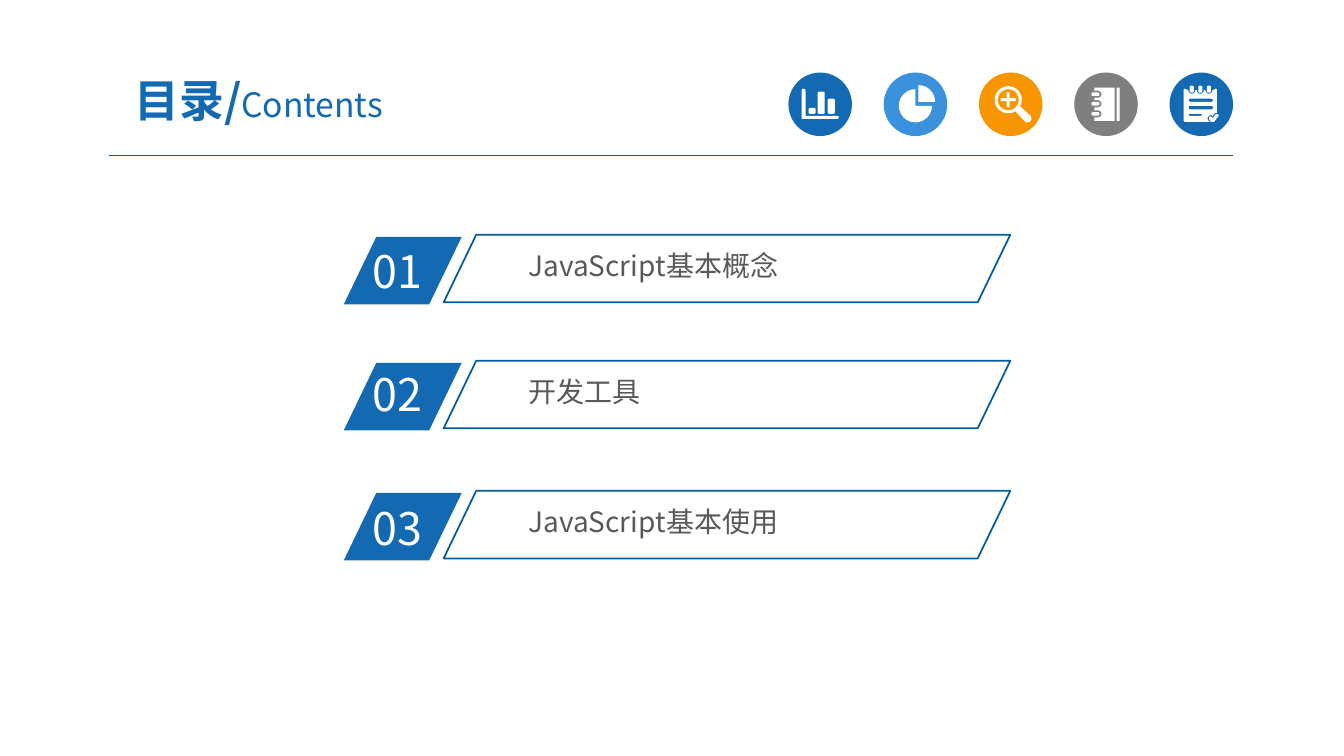
from math import cos, radians, sin

from lxml.etree import SubElement
from pptx import Presentation
from pptx.dml.color import RGBColor
from pptx.enum.shapes import MSO_CONNECTOR, MSO_SHAPE
from pptx.enum.text import MSO_ANCHOR, PP_ALIGN
from pptx.oxml.ns import qn
from pptx.util import Inches, Pt

FONT = "Noto Sans CJK SC"
BLUE, SKY, ORANGE, GREY = "1369B2", "3992DB", "F79600", "7F7F7F"
WHITE, RULE, OUTLINE, BODY = "FFFFFF", "005B9E", "005DA2", "595959"

TITLE = [("目录/", 32, True), ("Contents", 24, False)]
# number, topic, top of the topic frame, top of the number text
CHAPTERS = [
    ("01", "JavaScript基本概念", 2.33, 2.37),
    ("02", "开发工具", 3.58, 3.59),
    ("03", "JavaScript基本使用", 4.87, 4.92),
]


def arc(x, y, radius, start, end, steps=8):
    """Points of an arc, angles in degrees clockwise from the right."""
    angles = [radians(start + (end - start) * i / steps) for i in range(steps + 1)]
    return [(x + radius * cos(a), y + radius * sin(a)) for a in angles]


def slab(left, top, width, height, radius=1.5):
    """Points of a rectangle with round corners."""
    right, bottom = left + width - radius, top + height - radius
    left, top = left + radius, top + radius
    return (arc(left, top, radius, 180, 270, 3) + arc(right, top, radius, 270, 360, 3)
            + arc(right, bottom, radius, 0, 90, 3) + arc(left, bottom, radius, 90, 180, 3))


# Each icon is a list of contours, in hundredths of an inch from its badge corner;
# a contour inside another one is a hole.
AXES = (arc(15, 18, 2, 180, 360, 4) + [(17, 43)] + arc(48.5, 44.5, 1.5, -90, 90, 4)
        + [(13, 46)])
CHART = [AXES, slab(20, 35, 7, 6), slab(29, 19, 7, 22), slab(39, 26, 7, 15)]

SHARES = [[(34.5, 29)] + arc(34.5, 29, 16.5, 270, 360),
          [(31.5, 33)] + arc(31.5, 33, 16.5, 0, 270, 18)]

LENS_X, LENS_Y, HALF, THIN = 29, 27, 7.5, 1.5
PLUS = [(LENS_X + x, LENS_Y + y) for x, y in [
    (-HALF, -THIN), (-THIN, -THIN), (-THIN, -HALF), (THIN, -HALF),
    (THIN, -THIN), (HALF, -THIN), (HALF, THIN), (THIN, THIN),
    (THIN, HALF), (-THIN, HALF), (-THIN, THIN), (-HALF, THIN)]]
MAGNIFIER = [arc(LENS_X, LENS_Y, 13.5, 58, 389, 20) + arc(48, 45.5, 4, -45, 135),
             arc(LENS_X, LENS_Y, 10.5, 0, 360, 20), PLUS]

HOLES = (41, 31, 21.5)
PAGES = [(20, 15), (40, 15), (40, 48), (20, 48)]
for hole in HOLES:
    PAGES += [(20, hole + 3.5)] + arc(23.5, hole, 3.5, 90, -90) + [(20, hole - 3.5)]
NOTEBOOK = [PAGES, slab(42, 15, 3, 33, 0.5)] + [
    slab(17, hole - 1.75, 8, 3.5) for hole in HOLES]

RINGS = (22, 30.5, 39)
SHEET = [(14, 17), (15, 16)]
for ring in RINGS:
    SHEET += arc(ring, 17.5, 3.5, 180, 0)
SHEET += [(46, 16), (47, 17), (47, 40), (45, 40), (43, 43), (40, 42), (37.5, 45),
          (38, 47), (40, 49), (15, 49), (14, 48)]
TICK = [(48, 44), (44, 49), (41, 49), (39, 46), (40, 43), (43, 45), (46, 41), (49, 42)]
NOTEPAD = [SHEET, TICK, slab(19, 26, 24, 3), slab(19, 33, 24, 3.5),
           slab(19, 41, 13, 2, 1)] + [slab(ring - 2, 13, 4, 7) for ring in RINGS]

BADGES = [(BLUE, CHART), (SKY, SHARES), (ORANGE, MAGNIFIER),
          (GREY, NOTEBOOK), (BLUE, NOTEPAD)]
BADGE_LEFT, BADGE_TOP, BADGE_SIZE, BADGE_STEP = 7.82, 0.72, 0.63, 0.945
SLANT = 0.482

deck = Presentation()
deck.slide_width, deck.slide_height = Inches(13.33), Inches(7.5)
slide = deck.slides.add_slide(deck.slide_layouts[6])


def colour(hex_string):
    return RGBColor.from_string(hex_string)


def paint(shape, fill=None, line=None, width=1):
    shape.shadow.inherit = False
    if fill:
        shape.fill.solid()
        shape.fill.fore_color.rgb = colour(fill)
    else:
        shape.fill.background()
    if line:
        shape.line.color.rgb = colour(line)
        shape.line.width = Pt(width)
    else:
        shape.line.fill.background()


def add_preset(preset, box, adjustments=(), **look):
    shape = slide.shapes.add_shape(preset, *map(Inches, box))
    for index, value in enumerate(adjustments):
        shape.adjustments[index] = value
    paint(shape, **look)


def add_icon(contours, left, top):
    placed = [[(Inches(left + x / 100), Inches(top + y / 100)) for x, y in contour]
              for contour in contours]
    builder = slide.shapes.build_freeform(*placed[0][0])
    for index, points in enumerate(placed):
        if index:
            builder.move_to(*points[0])
        builder.add_line_segments(points[1:], close=True)
    paint(builder.convert_to_shape(), fill=WHITE)


def add_text(runs, box, ink, inset=(0.1, 0.05), align=PP_ALIGN.LEFT,
             anchor=MSO_ANCHOR.TOP):
    """Write one paragraph of (text, size, bold) runs."""
    frame = slide.shapes.add_textbox(*map(Inches, box)).text_frame
    frame.word_wrap = True
    frame.vertical_anchor = anchor
    frame.margin_left = frame.margin_right = Inches(inset[0])
    frame.margin_top = frame.margin_bottom = Inches(inset[1])
    paragraph = frame.paragraphs[0]
    paragraph.alignment = align
    for text, size, bold in runs:
        run = paragraph.add_run()
        run.text = text
        run.font.size, run.font.bold, run.font.name = Pt(size), bold, FONT
        run.font.color.rgb = colour(ink)
        SubElement(run.font._element, qn("a:ea"), typeface=FONT)


rule = slide.shapes.add_connector(MSO_CONNECTOR.STRAIGHT, Inches(1.08), Inches(1.54),
                                  Inches(12.23), Inches(1.54))
rule.line.color.rgb = colour(RULE)
rule.line.width = Pt(0.75)
SubElement(rule._element.spPr, qn("a:effectLst"))

for column, (badge_fill, icon) in enumerate(BADGES):
    badge_x = BADGE_LEFT + column * BADGE_STEP
    add_preset(MSO_SHAPE.OVAL, (badge_x, BADGE_TOP, BADGE_SIZE, BADGE_SIZE),
               fill=badge_fill)
    add_icon(icon, badge_x, BADGE_TOP)

add_text(TITLE, (0.92, 0.63, 3.29, 0.72), BLUE, inset=(0.13, 0.07),
         align=PP_ALIGN.CENTER, anchor=MSO_ANCHOR.MIDDLE)

for number, topic, top, number_top in CHAPTERS:
    add_preset(MSO_SHAPE.PARALLELOGRAM, (3.41, top + 0.02, 1.17, 0.67), [SLANT], fill=BLUE)
    add_text([(number, 32, False)], (3.6, number_top, 1.12, 0.64), WHITE)
    add_text([(topic, 20, False)], (5.17, top + 0.09, 4.12, 0.42), BODY, inset=(0.07, 0.04))
    add_preset(MSO_SHAPE.PARALLELOGRAM, (4.4, top, 5.62, 0.67), [SLANT],
               line=OUTLINE, width=1.25)

deck.save("out.pptx")
